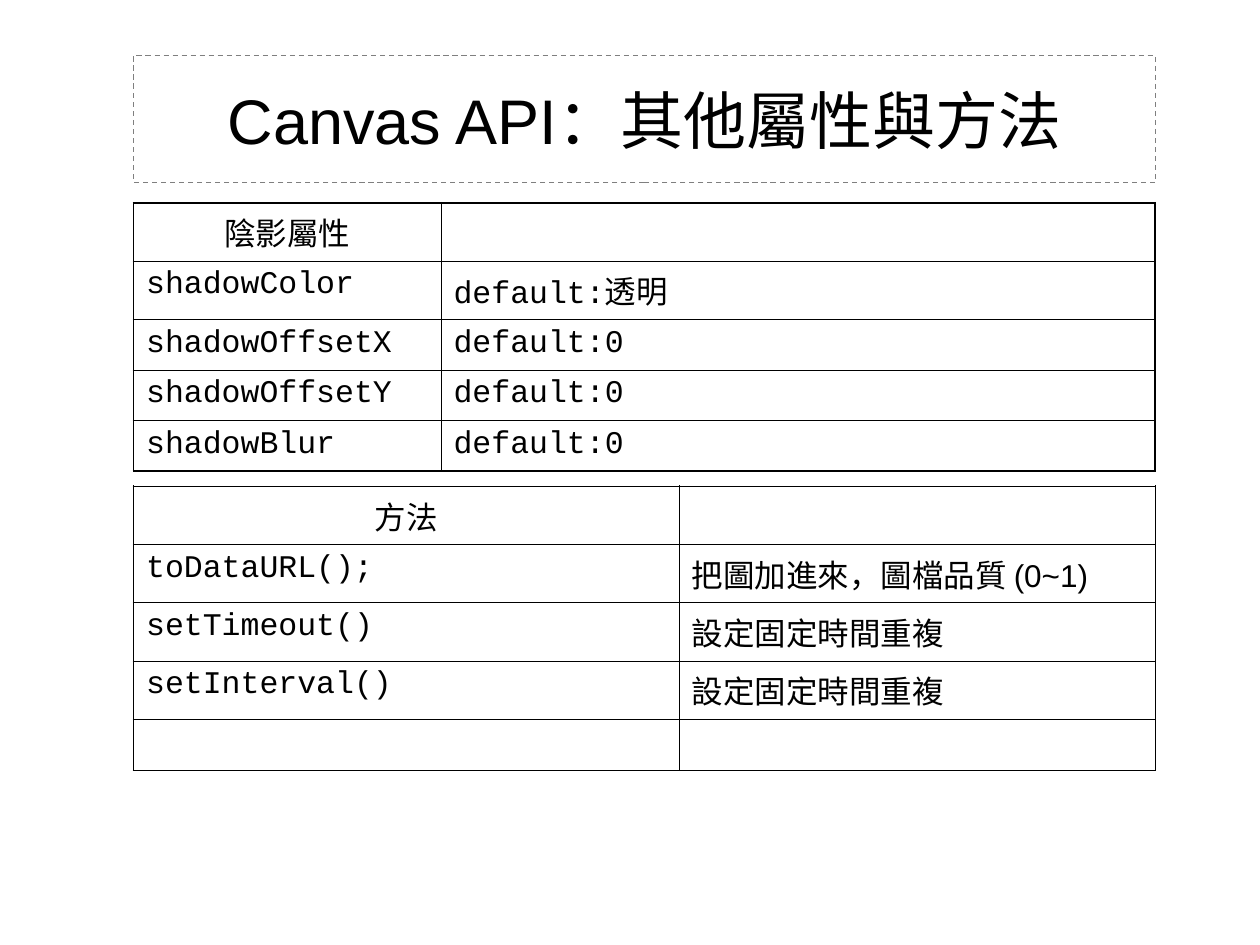
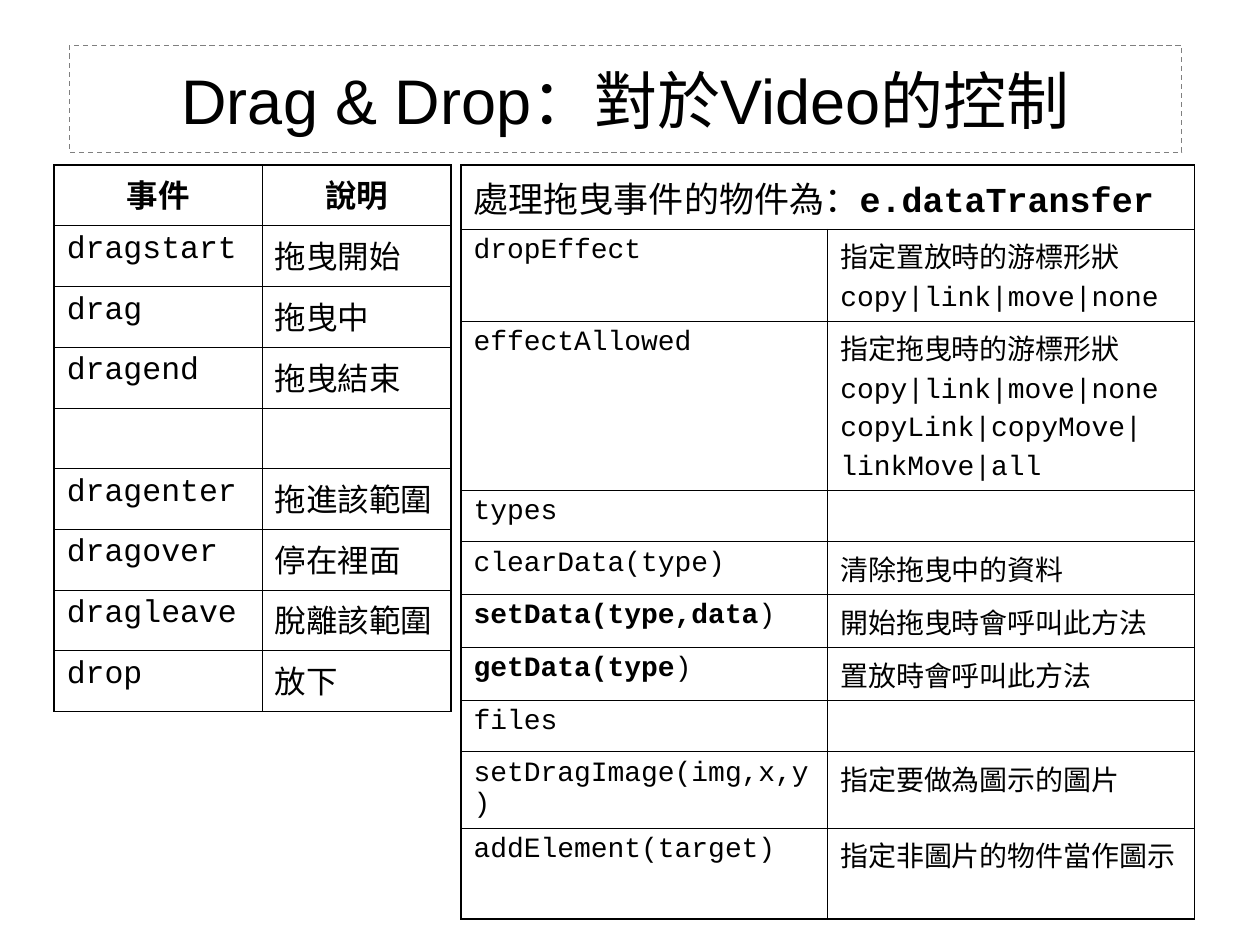
import pptx
import pptx.dml.color
import pptx.enum.dml
import pptx.enum.text
import pptx.oxml
import pptx.oxml.ns
import pptx.util
from pptx.util import Inches

COLORS = {"text": "000000", "border": "000000", "title_line": "7F7F7F"}
TEXT_FONT = "Arial"
CODE_FONT = "Courier New"
TITLE_SIZE = 36
OUTER_WIDTH = 1.08
INNER_WIDTH = 0.45

# Table texts: ** encloses bold text, a line break starts a paragraph
SHADOW_ROWS = [
    ("陰影屬性", ""),
    ("shadowColor", "default:透明"),
    ("shadowOffsetX", "default:0"),
    ("shadowOffsetY", "default:0"),
    ("shadowBlur", "default:0"),
]
METHOD_ROWS = [
    ("方法", ""),
    ("toDataURL();", "把圖加進來，圖檔品質 (0~1)"),
    ("setTimeout()", "設定固定時間重複"),
    ("setInterval()", "設定固定時間重複"),
    ("", ""),
]
EVENT_ROWS = [
    ("**事件**", "**說明**"),
    ("dragstart", "拖曳開始"),
    ("drag", "拖曳中"),
    ("dragend", "拖曳結束"),
    ("", ""),
    ("dragenter", "拖進該範圍"),
    ("dragover", "停在裡面"),
    ("dragleave", "脫離該範圍"),
    ("drop", "放下"),
]
TRANSFER_ROWS = [
    ("處理拖曳事件的物件為：**e.dataTransfer**",),
    ("dropEffect", "指定置放時的游標形狀\ncopy|link|move|none"),
    ("effectAllowed", "指定拖曳時的游標形狀\ncopy|link|move|none\n"
                      "copyLink|copyMove|\nlinkMove|all"),
    ("types", ""),
    ("clearData(type)", "清除拖曳中的資料"),
    ("**setData(type,data**)", "開始拖曳時會呼叫此方法"),
    ("**getData(type**)", "置放時會呼叫此方法"),
    ("files", ""),
    ("setDragImage(img,x,y)", "指定要做為圖示的圖片"),
    ("addElement(target)", "指定非圖片的物件當作圖示"),
]


def rgb(name):
    return pptx.dml.color.RGBColor.from_string(COLORS[name])


def format_run(run, font_name, size, bold=False):
    run.font.name = font_name
    run.font.size = pptx.util.Pt(size)
    run.font.bold = bold
    run.font.color.rgb = rgb("text")


def add_titled_slide(presentation, text, left, top, width, height):
    slide = presentation.slides.add_slide(presentation.slide_layouts[5])
    title = slide.shapes.title
    title.left, title.top = Inches(left), Inches(top)
    title.width, title.height = Inches(width), Inches(height)
    title.line.color.rgb = rgb("title_line")
    title.line.width = pptx.util.Pt(0.75)
    title.line.dash_style = pptx.enum.dml.MSO_LINE.DASH

    text_frame = title.text_frame
    text_frame.text = text
    text_frame.auto_size = pptx.enum.text.MSO_AUTO_SIZE.NONE
    text_frame.vertical_anchor = pptx.enum.text.MSO_ANCHOR.MIDDLE
    paragraph = text_frame.paragraphs[0]
    paragraph.alignment = pptx.enum.text.PP_ALIGN.CENTER
    format_run(paragraph.runs[0], TEXT_FONT, TITLE_SIZE)
    return slide


def set_borders(cell, outer_sides):
    """Draw the four cell borders, thicker on the table's outer sides."""
    properties = cell._tc.get_or_add_tcPr()
    for side in "LRTB":
        width = pptx.util.Pt(OUTER_WIDTH if side in outer_sides else INNER_WIDTH)
        properties.append(pptx.oxml.parse_xml(
            f'<a:ln{side} {pptx.oxml.ns.nsdecls("a")} w="{int(width)}">'
            f'<a:solidFill><a:srgbClr val="{COLORS["border"]}"/></a:solidFill>'
            f'</a:ln{side}>'))


def write_cell(cell, text, size, centered):
    text_frame = cell.text_frame
    for index, line in enumerate(text.split("\n")):
        if index:
            paragraph = text_frame.add_paragraph()
            paragraph.space_before = pptx.util.Pt(size / 4)
        else:
            paragraph = text_frame.paragraphs[0]
        if centered:
            paragraph.alignment = pptx.enum.text.PP_ALIGN.CENTER
        for part, piece in enumerate(line.split("**")):
            if piece:
                run = paragraph.add_run()
                run.text = piece
                # Text that opens with a Latin letter or symbol is code
                font_name = CODE_FONT if piece[0].isascii() else TEXT_FONT
                format_run(run, font_name, size, bold=part % 2 == 1)


def add_grid(slide, rows, left, top, widths, heights, size=18, header_size=18):
    """Add a table; a first row with one text spans all columns."""
    table = slide.shapes.add_table(
        len(rows), len(widths), Inches(left), Inches(top),
        Inches(sum(widths)), Inches(sum(heights))).table
    table.first_row = table.horz_banding = False
    for column, width in zip(table.columns, widths):
        column.width = Inches(width)
    for row, height in zip(table.rows, heights):
        row.height = Inches(height)

    last_row, last_column = len(rows) - 1, len(widths) - 1
    for row_index, texts in enumerate(rows):
        spanned = len(texts) == 1
        if spanned:
            table.cell(row_index, 0).merge(table.cell(row_index, last_column))
        for column_index in range(len(widths)):
            cell = table.cell(row_index, column_index)
            outer_sides = {
                side for side, is_outer in {
                    "L": column_index == 0,
                    "R": spanned or column_index == last_column,
                    "T": row_index == 0,
                    "B": row_index == last_row,
                }.items() if is_outer}
            set_borders(cell, outer_sides)
            cell.fill.background()
            if column_index < len(texts):
                is_header = row_index == 0
                write_cell(cell, texts[column_index],
                           header_size if is_header else size,
                           centered=is_header and not spanned)


def main():
    presentation = pptx.Presentation()
    presentation.slide_width = Inches(10)
    presentation.slide_height = Inches(7.5)

    # Canvas properties and methods
    slide = add_titled_slide(presentation, "Canvas API：其他屬性與方法",
                             1.06, 0.44, 8.11, 1.01)
    add_grid(slide, SHADOW_ROWS, 1.06, 1.61, [2.44, 5.67], [0.46] + [0.4] * 4)
    add_grid(slide, METHOD_ROWS, 1.06, 3.86, [4.33, 3.78], [0.46] * 4 + [0.39])

    # Drag and drop events and the data transfer object
    slide = add_titled_slide(presentation, "Drag & Drop：對於Video的控制",
                             0.55, 0.36, 8.83, 0.85)
    add_grid(slide, EVENT_ROWS, 0.43, 1.31, [1.65, 1.5],
             [4.34 / len(EVENT_ROWS)] * len(EVENT_ROWS))
    add_grid(slide, TRANSFER_ROWS, 3.66, 1.31, [2.91, 2.91],
             [0.51, 0.73, 1.34, 0.35, 0.42, 0.42, 0.42, 0.35, 0.61, 0.72],
             size=16, header_size=20)

    presentation.save("out.pptx")


if __name__ == "__main__":
    main()
